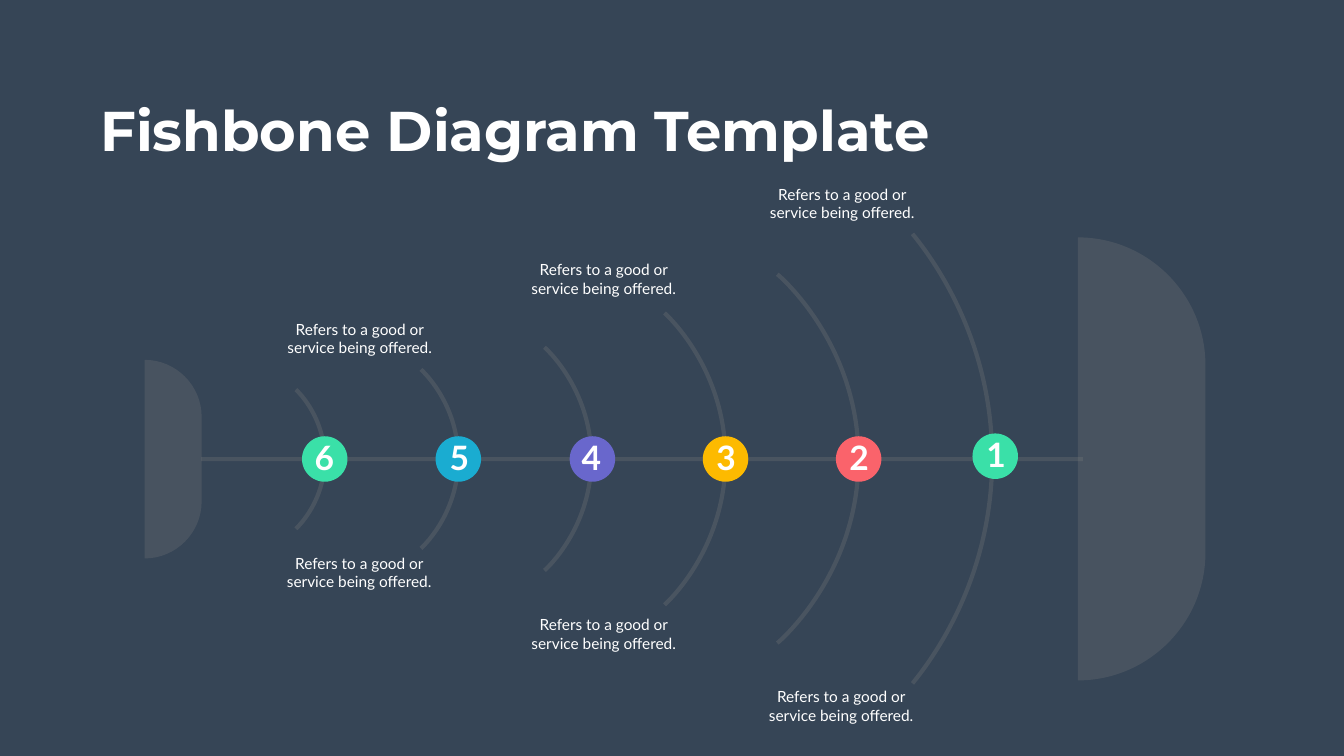
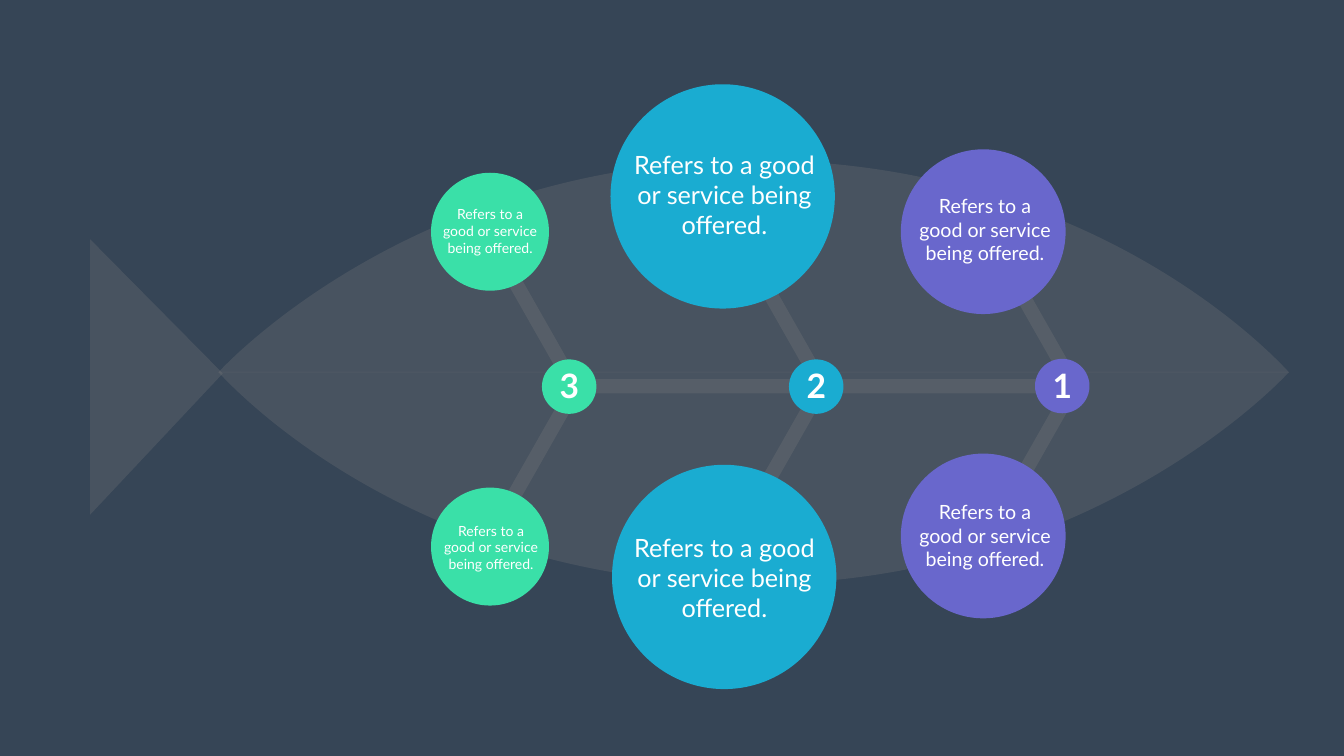
from lxml import etree
from pptx import Presentation
from pptx.dml.color import RGBColor
from pptx.enum.shapes import MSO_CONNECTOR, MSO_SHAPE
from pptx.enum.text import MSO_AUTO_SIZE, PP_ALIGN
from pptx.oxml.ns import qn
from pptx.util import Pt

OVAL, STRAIGHT = MSO_SHAPE.OVAL, MSO_CONNECTOR.STRAIGHT
LEFT, CENTER = PP_ALIGN.LEFT, PP_ALIGN.CENTER
GROW = MSO_AUTO_SIZE.SHAPE_TO_FIT_TEXT

NAVY, WHITE, GRAY = "364556", "FFFFFF", "808080"
GREEN, RED, YELLOW = "3AE0A8", "FA636B", "FDBA00"
PURPLE, BLUE = "6967CC", "1AACD1"
BODY_FONT, TITLE_FONT = "Lato", "Montserrat"
ARC = 0.55

TITLE = "Fishbone Diagram Template"
LABEL = "Refers to a good or service being offered."

SPINE = (1546.6, 655.9, 287.3)
RIB_LINE, BONE_LINE = 6, 20.5
WIDE_BEND, BEND = (0.23, 0.1, 0.54), (0.16, 0.06, 0.58)
RIBS = [
    (1303.2, 334.1, 1417, 976.3, WIDE_BEND),
    (1110.2, 391.7, 1226.2, 918.7, BEND),
    (949, 447.1, 1036.1, 864, BEND),
    (777.6, 496.1, 844.6, 815, BEND),
    (601.2, 527.8, 654.5, 783.4, BEND),
    (422.6, 556.6, 463.7, 755.3, BEND),
]
TAIL_AND_HEAD = [(206.6, 514.1, 81.4, 283.7), (1539.4, 339.1, 182.2, 632.9)]
MARKERS = [
    (1388.9, 619.2, GREEN, 1401.8),
    (1193.8, 623.2, RED, 1206),
    (1003.7, 623.2, YELLOW, 1015.9),
    (813.6, 623.2, PURPLE, 823.7),
    (622.1, 623.2, BLUE, 635),
    (431.3, 623.2, GREEN, 442.1),
]
MARKER_SIZE = 65
RIB_LABELS = [
    (396.7, 453.6), (396, 787.7),
    (745.2, 368.6), (745.2, 875.5),
    (1084.3, 978.5), (1085.8, 260.6),
]

BELLY_START = (1841, 531.4)
BELLY = [
    [(1825.9, 547.9), (1541.5, 848.9), (1037.5, 833.8)],
    [(581.8, 819.4), (336.2, 558), (311.8, 531.4)],
]
BODY_CENTER = (1076.4, 531.7)
FIN_START, FIN = (128.9, 342), [[(318.2, 533.5)], [(128.9, 735.1)]]
BONE_W, BONE_H = 155.2, 273.2
KNOT_SIZE = 77.8
GROUPS = [
    {"color": PURPLE, "bone": (1533.6, 551), "knot": (1478.2, 512.6),
     "bubbles": [(1286.6, 213.3), (1286.6, 648)], "diameter": 235.4,
     "labels": [(1301, 273.6), (1301, 711)], "width": 211.7, "size": 28},
    {"color": BLUE, "bone": (1174.3, 551), "knot": (1126.8, 513.4),
     "bubbles": [(871.9, 120.4), (874.1, 664)], "diameter": 320.4,
     "labels": [(897.1, 209.5), (897.1, 756.7)], "width": 275, "size": 36},
    {"color": GREEN, "bone": (821.5, 554.2), "knot": (774, 513.4),
     "bubbles": [(615.6, 246.8), (615.6, 696.6)], "diameter": 168.5,
     "labels": [(621.4, 290.2), (622.8, 742.3)], "width": 157, "size": 20},
]


def rgb(color):
    return RGBColor.from_string(color)


def fade(s):
    for clr in s._element.spPr.iter(qn("a:srgbClr")):
        etree.SubElement(clr, qn("a:alpha")).set("val", "25000")


def outline(slide, start, segments, line_width=None):
    builder = slide.shapes.build_freeform(Pt(start[0]), Pt(start[1]), scale=1.0)
    builder.add_line_segments([(Pt(x), Pt(y)) for segment in segments for x, y in segment],
                              close=line_width is None)
    s = builder.convert_to_shape()
    nodes = iter(list(s._element.spPr.iter(qn("a:lnTo"))))
    for segment in segments:
        first, *others = [next(nodes) for _ in segment]
        if others:
            first.tag = qn("a:cubicBezTo")
            for node in others:
                first.append(node[0])
                node.getparent().remove(node)
    s.shadow.inherit = False
    if line_width is None:
        s.fill.solid()
        s.fill.fore_color.rgb = rgb(GRAY)
        s.line.fill.background()
    else:
        s.fill.background()
        s.line.color.rgb = rgb(GRAY)
        s.line.width = Pt(line_width)
    fade(s)


def spine(slide, x1, y, x2, width):
    s = slide.shapes.add_connector(STRAIGHT, Pt(x1), Pt(y), Pt(x2), Pt(y))
    s.line.color.rgb = rgb(GRAY)
    s.line.width = Pt(width)
    etree.SubElement(s._element.spPr, qn("a:effectLst"))
    fade(s)


def circle(slide, x, y, size, color):
    s = slide.shapes.add_shape(OVAL, Pt(x), Pt(y), Pt(size), Pt(size))
    s.shadow.inherit = False
    s.fill.solid()
    s.fill.fore_color.rgb = rgb(color)
    s.line.fill.background()


def text(slide, x, y, w, h, words, size, font=BODY_FONT, bold=False, align=CENTER, wrap=True):
    tf = slide.shapes.add_textbox(Pt(x), Pt(y), Pt(w), Pt(h)).text_frame
    tf.word_wrap = wrap
    tf.auto_size = GROW
    tf.text = words
    p = tf.paragraphs[0]
    p.alignment = align
    r = p.runs[0]
    r.font.name, r.font.size, r.font.bold = font, Pt(size), bold
    r.font.color.rgb = rgb(WHITE)


def label(slide, x, y, w, size, lines):
    text(slide, x, y, w, lines * size * 1.2 + 7.2, LABEL, size)


def number(slide, x, y, n):
    text(slide, x, y, 42.5, 65.5, str(n), 48, bold=True, align=LEFT)


def new_slide(prs):
    slide = prs.slides.add_slide(prs.slide_layouts[6])
    slide.background.fill.solid()
    slide.background.fill.fore_color.rgb = rgb(NAVY)
    return slide


def rib(slide, tip, top, apex, bottom, bend):
    w, h = apex - tip, (bottom - top) / 2
    near_x, near_y, far = bend
    near, middle = tip + near_x * w, top + h
    outline(slide, (tip, top), [
        [(near, top + near_y * h), (apex, middle - far * h), (apex, middle)],
        [(apex, middle + far * h), (near, bottom - near_y * h), (tip, bottom)],
    ], RIB_LINE)


def rounded_end(slide, x, y, r, h):
    right, bottom, k = x + r, y + h, ARC * r
    outline(slide, (x, bottom), [
        [(x, y)],
        [(x + k, y), (right, y + r - k), (right, y + r)],
        [(right, bottom - r)],
        [(right, bottom - r + k), (x + k, bottom), (x, bottom)],
    ])


def turned(point):
    return tuple(2 * c - v for c, v in zip(BODY_CENTER, point))


def build_curved(prs):
    slide = new_slide(prs)
    spine(slide, *SPINE, RIB_LINE)
    for shape in RIBS:
        rib(slide, *shape)
    for end in TAIL_AND_HEAD:
        rounded_end(slide, *end)
    for x, y, color, _ in MARKERS:
        circle(slide, x, y, MARKER_SIZE, color)
    for x, y in RIB_LABELS:
        label(slide, x, y, 234, 22, 2)
    for n, (_, y, _, number_x) in enumerate(MARKERS, 1):
        number(slide, number_x, y - 3, n)
    text(slide, 136.1, 133.2, 1203.1, 104.4, TITLE, 80, TITLE_FONT, True, LEFT, False)


def build_fish(prs):
    slide = new_slide(prs)
    outline(slide, BELLY_START, BELLY)
    outline(slide, turned(BELLY_START), [[turned(point) for point in curve] for curve in BELLY])
    outline(slide, FIN_START, FIN)
    spine(slide, GROUPS[0]["bone"][0], 551.8, 784.1, BONE_LINE)
    for g in GROUPS:
        x, y = g["bone"]
        outline(slide, (x - BONE_W, y - BONE_H),
                [[(x, y)], [(x - BONE_W, y + BONE_H)]], BONE_LINE)
    for g in GROUPS:
        for x, y in g["bubbles"]:
            circle(slide, x, y, g["diameter"], g["color"])
    for g in GROUPS:
        circle(slide, *g["knot"], KNOT_SIZE, g["color"])
    for n, g in enumerate(GROUPS, 1):
        for x, y in g["labels"]:
            label(slide, x, y, g["width"], g["size"], 3)
        x, y = g["knot"]
        number(slide, x + 18, y + 5, n)


def main():
    prs = Presentation()
    prs.slide_width, prs.slide_height = Pt(1919.52), Pt(1080)
    build_curved(prs)
    build_fish(prs)
    prs.save("out.pptx")


if __name__ == "__main__":
    main()
